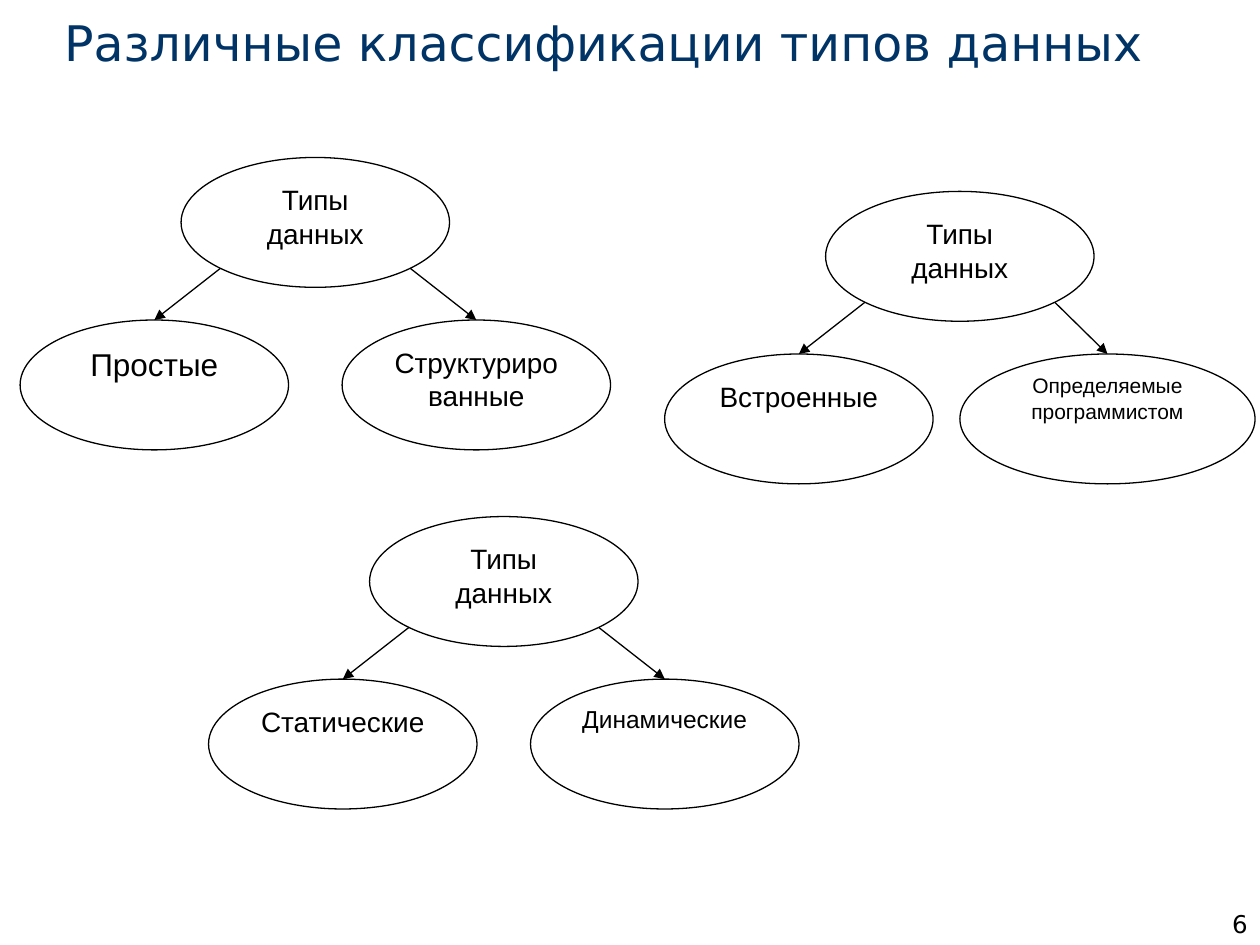
from math import sqrt

from lxml import etree
from pptx import Presentation
from pptx.dml.color import RGBColor
from pptx.enum.shapes import MSO_CONNECTOR as CONN, MSO_SHAPE as SHAPE
from pptx.enum.text import MSO_ANCHOR as ANCHOR, PP_ALIGN as ALIGN
from pptx.oxml.ns import qn
from pptx.util import Pt

BLACK = RGBColor(0x00, 0x00, 0x00)
WHITE = RGBColor(0xFF, 0xFF, 0xFF)
NAVY = RGBColor(0x00, 0x33, 0x66)

W, H = 153.4, 74.2        # ellipse size
DX, DY = 92, 92.9         # offset from root to child
LINE = 0.75


def set_text(sp, text, size, font="Arial", color=BLACK, align=ALIGN.CENTER,
             anchor=ANCHOR.TOP, inset_x=7.2, inset_y=3.6):
    tf = sp.text_frame
    tf.word_wrap = True
    tf.vertical_anchor = anchor
    tf.margin_left = tf.margin_right = Pt(inset_x)
    tf.margin_top = tf.margin_bottom = Pt(inset_y)
    p = tf.paragraphs[0]
    p.alignment = align
    r = p.add_run()
    r.text = text
    r.font.name = font
    r.font.size = Pt(size)
    r.font.color.rgb = color


def add_ellipse(s, x, y, w, text, size, **fmt):
    sp = s.shapes.add_shape(SHAPE.OVAL, Pt(x), Pt(y), Pt(w), Pt(H))
    sp.shadow.inherit = False
    sp.fill.solid()
    sp.fill.fore_color.rgb = WHITE
    sp.line.color.rgb = BLACK
    sp.line.width = Pt(LINE)
    set_text(sp, text, size, **fmt)


prs = Presentation()
prs.slide_width, prs.slide_height = Pt(720), Pt(540)
s = prs.slides.add_slide(prs.slide_layouts[6])

# Slide number and title
sp = s.shapes.add_textbox(Pt(570.24), Pt(504), Pt(149.76), Pt(36))
set_text(sp, "6", 14, font="DejaVu Sans", align=ALIGN.RIGHT, anchor=ANCHOR.BOTTOM)
sp = s.shapes.add_textbox(Pt(36.72), Pt(0), Pt(643), Pt(41))
set_text(sp, "Различные классификации типов данных", 28, font="DejaVu Sans",
         color=NAVY, align=ALIGN.LEFT, anchor=ANCHOR.BOTTOM, inset_x=0, inset_y=0)

# Trees: root position, then left and right child (text, size, width, format)
trees = [
    (103.5, 90, ("Простые", 18, W, {}),
     ("Структурированные", 16, W, {})),
    (471.8, 109.4, ("Встроенные", 16, W, {"inset_x": 4.3}),
     ("Определяемые программистом", 12, 168.7, {"inset_x": 0, "inset_y": 0})),
    (211.2, 295.2, ("Статические", 16, W, {"inset_x": 4.3}),
     ("Динамические", 14, W, {"inset_x": 1.4})),
]

for x, y, *children in trees:
    add_ellipse(s, x, y, W, "Типы данных", 16)
    for side, (text, size, w, fmt) in zip((-1, 1), children):
        # The right child of the second tree is wider and sits closer to the root
        child_x = x + side * DX - (w - W)
        child_y = y + DY
        add_ellipse(s, child_x, child_y, w, text, size, **fmt)

        # Arrow from the root's 45° point to the top of the child
        c = s.shapes.add_connector(
            CONN.STRAIGHT,
            Pt(x + W / 2 + side * W / 2 / sqrt(2)), Pt(y + H / 2 + H / 2 / sqrt(2)),
            Pt(child_x + w / 2), Pt(child_y))
        c.line.color.rgb = BLACK
        c.line.width = Pt(LINE)
        etree.SubElement(c.line._get_or_add_ln(), qn("a:tailEnd"), type="triangle")
        etree.SubElement(c._element.spPr, qn("a:effectLst"))

prs.save("out.pptx")
